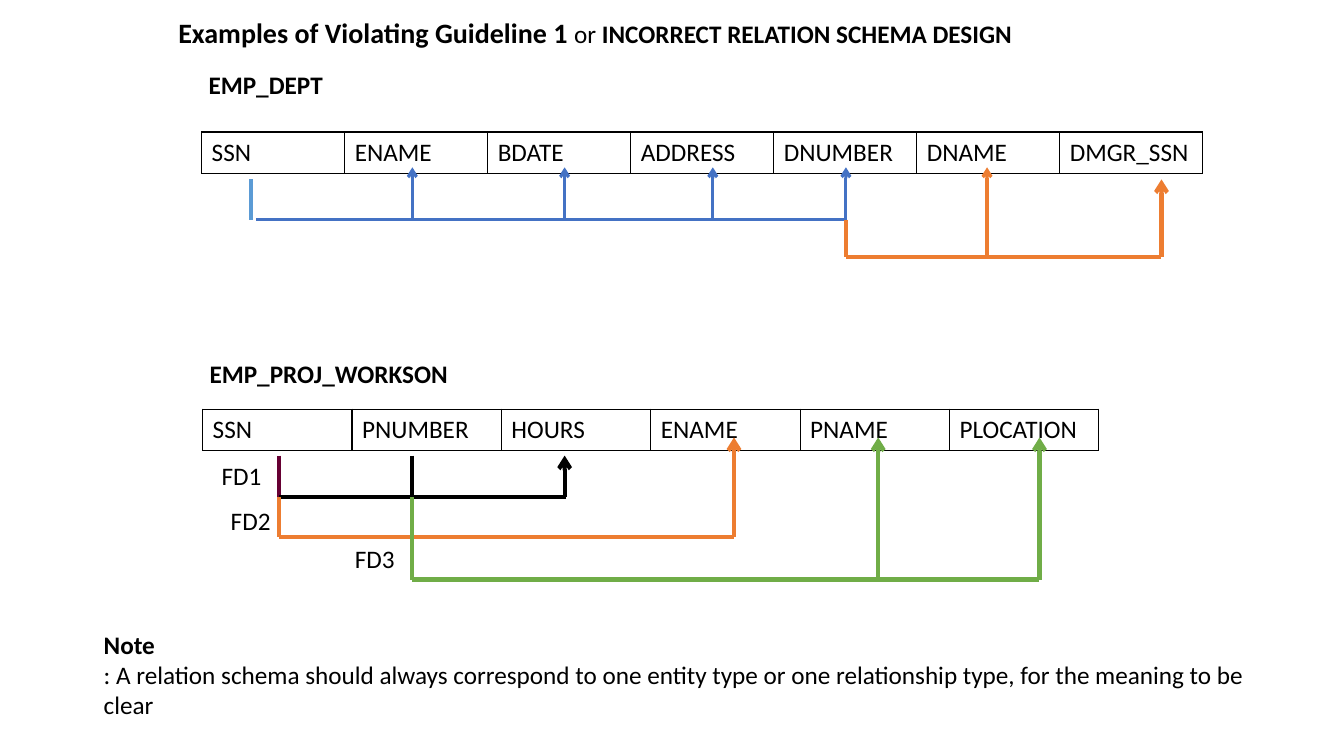
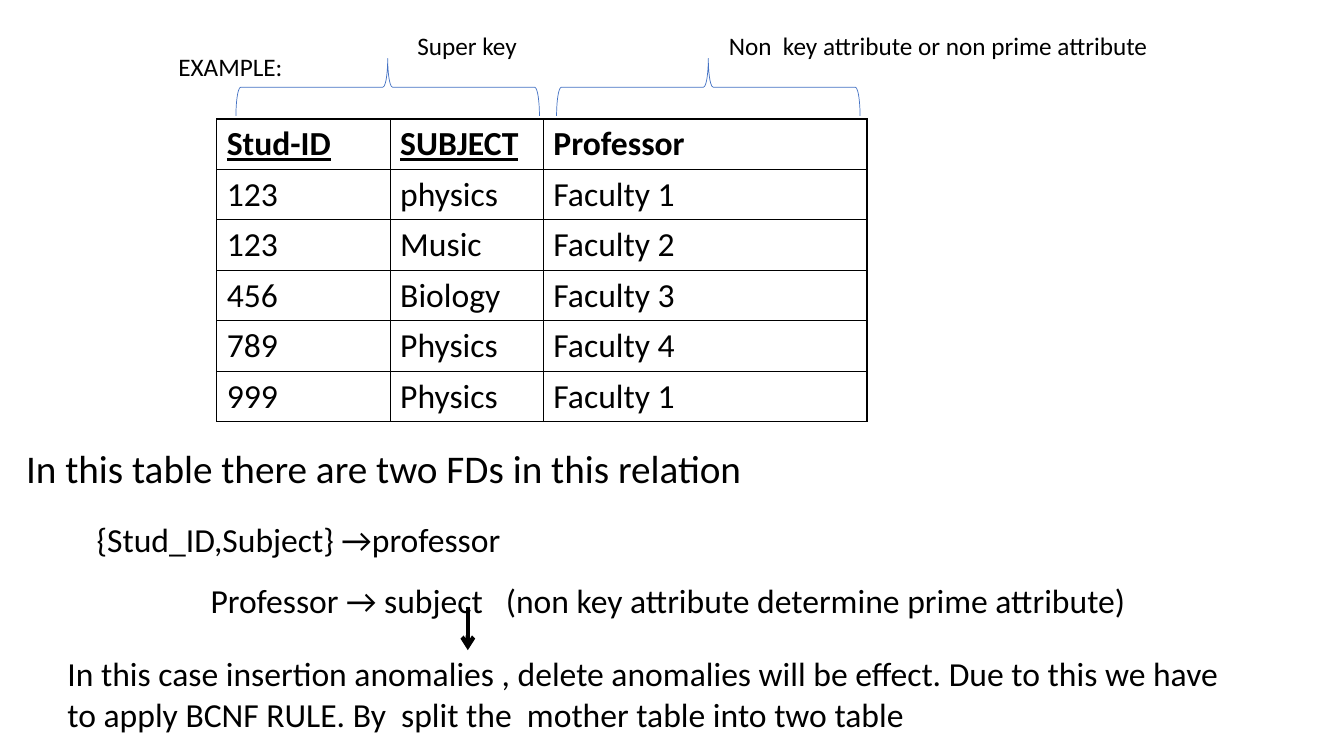
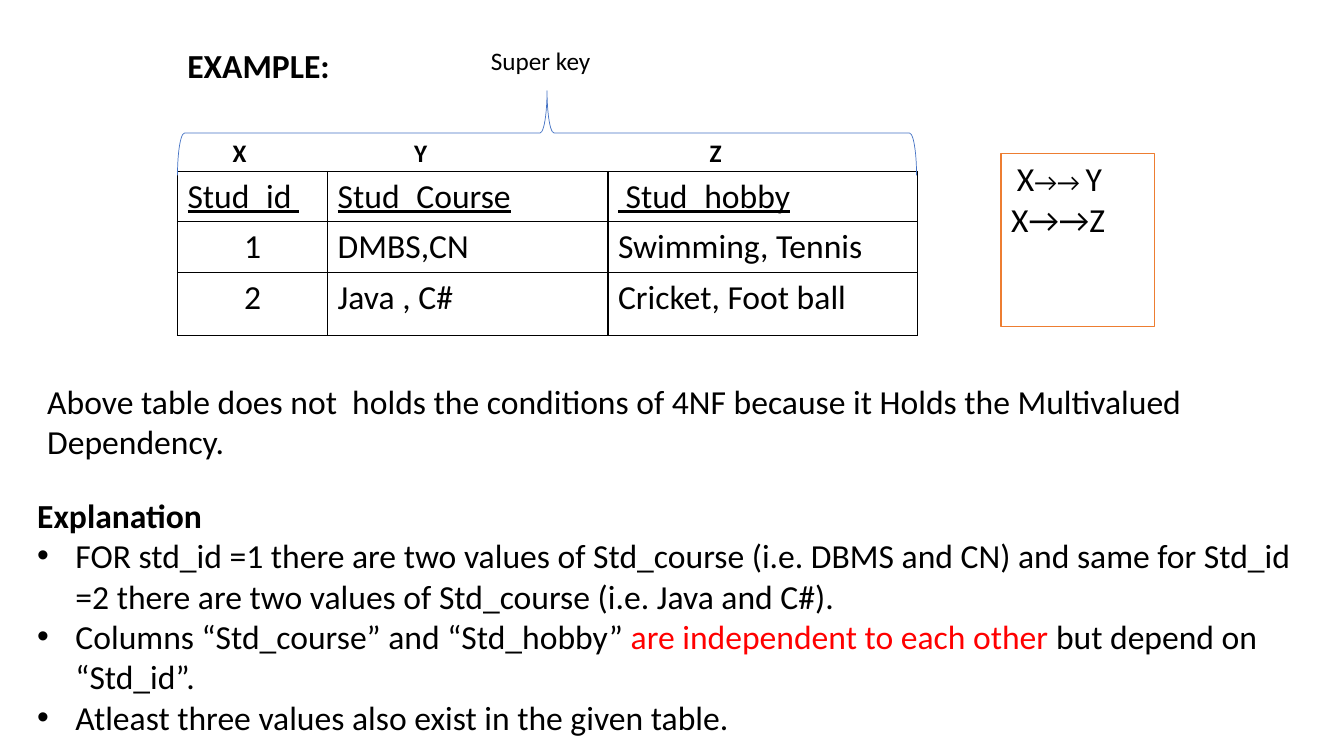
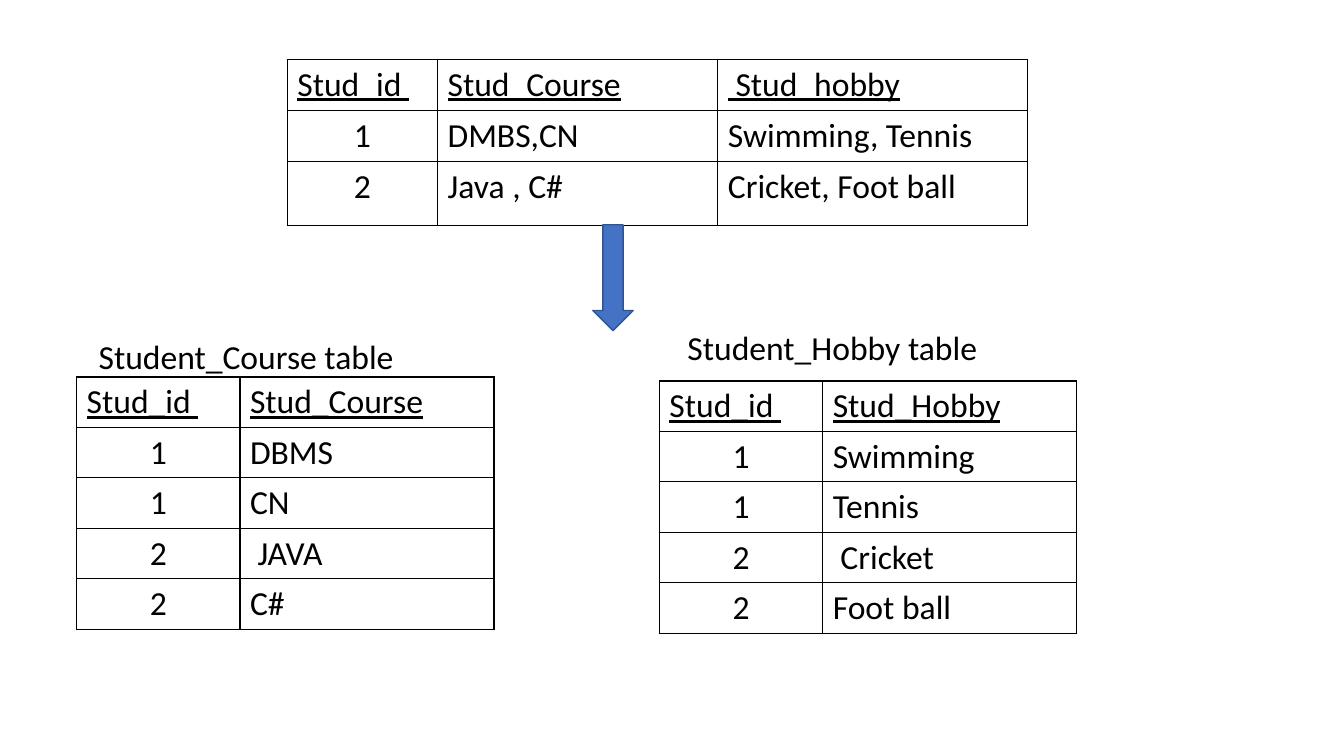
from lxml import etree
from pptx import Presentation
from pptx.dml.color import RGBColor
from pptx.enum.shapes import MSO_CONNECTOR, MSO_SHAPE
from pptx.enum.text import MSO_ANCHOR, PP_ALIGN
from pptx.oxml.ns import qn
from pptx.util import Inches, Pt

BLACK = RGBColor(0x00, 0x00, 0x00)
WHITE = RGBColor(0xFF, 0xFF, 0xFF)
RED = RGBColor(0xFF, 0x00, 0x00)
BLUE = RGBColor(0x44, 0x72, 0xC4)
DARK_BLUE = RGBColor(0x32, 0x54, 0x91)
LIGHT_BLUE = RGBColor(0x5B, 0x9B, 0xD5)
ORANGE = RGBColor(0xED, 0x7D, 0x31)
GREEN = RGBColor(0x70, 0xAD, 0x47)
MAROON = RGBColor(0x66, 0x00, 0x33)

FONT = "Calibri"
LABEL, BODY, LEAD = 18, 24, 28
ROW = 0.5
HOBBY_ROWS = [
    ["Stud_id ", "Stud_Course", " Stud_hobby"],
    ["1", "DMBS,CN", "Swimming, Tennis"],
    ["2", "Java , C#", "Cricket, Foot ball"],
]


def format_run(run, size, bold=False, underline=False, color=BLACK):
    font = run.font
    font.name, font.size = FONT, Pt(size)
    font.bold, font.underline = bold, underline
    font.color.rgb = color


def write_runs(paragraph, pieces, size):
    """Fill a paragraph from plain text or from (text, style) pieces."""
    if isinstance(pieces, str):
        pieces = [(pieces, {})]
    for text, style in pieces:
        run = paragraph.add_run()
        run.text = text
        format_run(run, **{"size": size, **style})


def write_paragraphs(text_frame, paragraphs, size):
    for index, pieces in enumerate(paragraphs):
        paragraph = text_frame.paragraphs[0] if index == 0 else text_frame.add_paragraph()
        write_runs(paragraph, pieces, size)


def add_text(slide, left, top, width, height, paragraphs, size=LABEL):
    box = slide.shapes.add_textbox(Inches(left), Inches(top), Inches(width), Inches(height))
    box.text_frame.word_wrap = True
    write_paragraphs(box.text_frame, paragraphs, size)
    return box.text_frame


def add_bullet(paragraph):
    properties = paragraph._p.get_or_add_pPr()
    properties.set("marL", str(Inches(0.38)))
    properties.set("indent", str(-Inches(0.38)))
    etree.SubElement(properties, qn("a:buFont")).set("typeface", "Arial")
    etree.SubElement(properties, qn("a:buChar")).set("char", "•")


def add_tab_stops(paragraph, positions):
    tabs = etree.SubElement(paragraph._p.get_or_add_pPr(), qn("a:tabLst"))
    for position in positions:
        tab = etree.SubElement(tabs, qn("a:tab"))
        tab.set("pos", str(Inches(position)))
        tab.set("algn", "l")


def add_line(slide, x1, y1, x2, y2, color, width=3, arrow=False):
    line = slide.shapes.add_connector(
        MSO_CONNECTOR.STRAIGHT, Inches(x1), Inches(y1), Inches(x2), Inches(y2))
    line.line.color.rgb = color
    line.line.width = Pt(width)
    if arrow:
        etree.SubElement(line.line._get_or_add_ln(), qn("a:tailEnd")).set("type", "arrow")
    etree.SubElement(line._element.spPr, qn("a:effectLst"))


def add_outlined_shape(slide, kind, left, top, width, height, fill, outline, line_width=1):
    shape = slide.shapes.add_shape(
        kind, Inches(left), Inches(top), Inches(width), Inches(height))
    shape.shadow.inherit = False
    if fill is None:
        shape.fill.background()
    else:
        shape.fill.solid()
        shape.fill.fore_color.rgb = fill
    shape.line.color.rgb = outline
    shape.line.width = Pt(line_width)
    return shape


def add_top_brace(slide, left, top, width, height):
    """Draw a brace that spans the given box and points up."""
    brace = add_outlined_shape(
        slide, MSO_SHAPE.LEFT_BRACE, left + (width - height) / 2,
        top + (height - width) / 2, height, width, None, BLUE, 0.5)
    brace.rotation = 90


def add_cell_borders(cell):
    properties = cell._tc.get_or_add_tcPr()
    for side in ("a:lnL", "a:lnR", "a:lnT", "a:lnB"):
        border = etree.SubElement(properties, qn(side))
        border.set("w", str(Pt(1)))
        fill = etree.SubElement(border, qn("a:solidFill"))
        etree.SubElement(fill, qn("a:srgbClr")).set("val", str(BLACK))


def add_grid(slide, left, top, widths, heights, rows, size=BODY,
             underlined=0, bold_header=False, center_keys=False):
    """Add a ruled table; the first `underlined` header cells are underlined."""
    frame = slide.shapes.add_table(
        len(rows), len(widths), Inches(left), Inches(top),
        Inches(sum(widths)), Inches(sum(heights)))
    table = frame.table
    table.first_row = table.horz_banding = False
    for column, width in zip(table.columns, widths):
        column.width = Inches(width)
    for row, height in zip(table.rows, heights):
        row.height = Inches(height)
    for row_index, row in enumerate(rows):
        header = row_index == 0
        for column_index, text in enumerate(row):
            cell = table.cell(row_index, column_index)
            add_cell_borders(cell)
            cell.fill.background()
            paragraph = cell.text_frame.paragraphs[0]
            style = {"bold": header and bold_header,
                     "underline": header and column_index < underlined}
            write_runs(paragraph, [(text, style)], size)
            if center_keys and column_index == 0 and not header:
                paragraph.alignment = PP_ALIGN.CENTER


def add_relation(slide, left, top, width, name, name_gap, attributes):
    """Add a one-row relation schema with its name above it."""
    add_text(slide, left - 0.03, top - name_gap, 2.9, 0.4, [[(name, {"bold": True})]])
    count = len(attributes)
    add_grid(slide, left, top, [width / count] * count, [0.41], [attributes], LABEL)


def add_dependency(slide, left, top, color, bar, stems, arrows, width=3):
    """Draw a bar (start, end, y), stems (x, y) and arrows (x, tip, width) from a corner."""
    start, end, level = bar
    y = top + level
    add_line(slide, left + start, y, left + end, y, color, width)
    for x, stem_top in stems:
        add_line(slide, left + x, top + stem_top, left + x, y, color, width)
    for x, tip, arrow_width in arrows:
        add_line(slide, left + x, y, left + x, top + tip, color, arrow_width, arrow=True)


def add_department_relation(slide, left, top):
    add_relation(slide, left, top, 9.93, "EMP_DEPT", 0.67,
                 ["SSN", "ENAME", "BDATE", "ADDRESS", "DNUMBER", "DNAME", "DMGR_SSN"])
    add_line(slide, left + 0.49, top + 0.47, left + 0.49, top + 0.87, LIGHT_BLUE, 2.25)
    add_dependency(slide, left, top, BLUE, (0.54, 6.39, 0.87), [],
                   [(x, 0.35, 2.25) for x in (2.09, 3.6, 5.07, 6.39)], 2.25)
    add_dependency(slide, left, top, ORANGE, (6.39, 9.52, 1.24), [(6.39, 0.87)],
                   [(7.79, 0.35, 2.25), (9.52, 0.47, 3)])


def add_project_relation(slide, left, top):
    ssn, number = 0.76, 2.08
    add_relation(slide, left, top, 8.89, "EMP_PROJ_WORKSON", 0.55,
                 ["SSN", "PNUMBER", "HOURS", "ENAME", "PNAME", "PLOCATION"])
    add_line(slide, left + ssn, top + 0.46, left + ssn, top + 0.87, MAROON)
    add_dependency(slide, left, top, BLACK, (ssn, 3.6, 0.87), [(number, 0.46)],
                   [(3.59, 0.46, 3)])
    add_dependency(slide, left, top, ORANGE, (ssn, 5.27, 1.27), [(ssn, 0.87)],
                   [(5.27, 0.28, 3)])
    add_dependency(slide, left, top, GREEN, (number, 8.3, 1.69), [(number, 0.87)],
                   [(6.7, 0.28, 3), (8.3, 0.28, 3)])
    for name, x, y in (("FD1", 0.09, 0.46), ("FD2", 0.18, 0.9), ("FD3", 1.41, 1.28)):
        add_text(slide, left + x, top + y, 0.65, 0.4, [name])


def add_hobby_table(slide, left, top):
    add_grid(slide, left, top, [1.49, 2.78, 3.07], [ROW, ROW, 0.63], HOBBY_ROWS,
             underlined=3, center_keys=True)


def add_split_table(slide, left, top, value_name, values):
    rows = [["Stud_id ", value_name], *zip("1122", values)]
    add_grid(slide, left, top, [1.62, 2.52], [ROW] * len(rows), rows,
             underlined=2, center_keys=True)


def build_guideline_slide(slide):
    add_text(slide, 1.67, 0.1, 10.76, 0.44, [[
        ("Examples of Violating Guideline 1 ", {"size": 20, "bold": True}),
        ("or ", {}),
        ("INCORRECT RELATION SCHEMA DESIGN", {"bold": True}),
    ]])
    add_department_relation(slide, 2, 1.31)
    add_project_relation(slide, 2.01, 4.06)
    add_text(slide, 0.93, 6.19, 11.51, 1.01, [
        [("Note", {"bold": True})],
        ": A relation schema should always correspond to one entity type or "
        "one relationship type, for the meaning to be clear",
    ])


def build_professor_slide(slide):
    add_text(slide, 1.67, 0.46, 2.49, 0.4, ["EXAMPLE:"])
    rows = [
        ["Stud-ID", "SUBJECT", "Professor"],
        ["123", "physics", "Faculty 1"],
        ["123", "Music", "Faculty 2"],
        ["456", "Biology", "Faculty 3"],
        ["789", "Physics", "Faculty 4"],
        ["999", "Physics", "Faculty 1"],
    ]
    add_grid(slide, 2.15, 1.18, [1.72, 1.52, 3.21], [ROW] * len(rows), rows,
             underlined=2, bold_header=True)
    for left in (2.34, 5.52):
        add_top_brace(slide, left, 0.58, 3.01, 0.57)
    add_text(slide, 4.04, 0.25, 1.79, 0.4, ["Super key"])
    add_text(slide, 7.13, 0.25, 5.81, 0.4, ["Non  key attribute or non prime attribute"])
    add_text(slide, 0.16, 4.36, 11.03, 0.57,
             ["In this table there are two FDs in this relation"], LEAD)
    dependencies = add_text(slide, 0.86, 4.9, 12.13, 1.31, [
        "{Stud_ID,Subject} →professor",
        "\tProfessor → subject\t(non key attribute determine prime attribute)",
    ], BODY)
    add_tab_stops(dependencies.paragraphs[1], [1.13, 4.06])
    for paragraph in dependencies.paragraphs:
        paragraph.line_spacing = 1.5
    add_line(slide, 4.64, 6.02, 4.64, 6.45, BLACK, arrow=True)
    add_text(slide, 0.57, 6.43, 11.79, 0.91, [
        "In this case insertion anomalies , delete anomalies will be effect. Due to this "
        "we have to apply BCNF RULE. By  split the  mother table into two table",
    ], BODY)


def build_multivalued_slide(slide):
    add_text(slide, 1.76, 0.4, 2.9, 0.5, [[("EXAMPLE:", {"bold": True})]], BODY)
    add_hobby_table(slide, 1.76, 1.7)
    add_top_brace(slide, 1.76, 0.9, 7.33, 0.84)
    add_text(slide, 4.77, 0.4, 2.17, 0.4, ["Super key"])
    for name, left in (("X", 2.21), ("Y", 4.01), ("Z", 6.94)):
        add_text(slide, left, 1.31, 0.85, 0.4, [[(name, {"bold": True})]])
    box = add_outlined_shape(slide, MSO_SHAPE.RECTANGLE, 9.93, 1.52, 1.52, 1.72, WHITE, ORANGE)
    box.text_frame.vertical_anchor = MSO_ANCHOR.TOP
    small = {"size": LABEL}
    write_paragraphs(box.text_frame, [
        [(" ", small), ("X", {}), ("→→ ", small), ("Y", {})],
        "X→→Z",
    ], BODY)
    for paragraph in box.text_frame.paragraphs:
        paragraph.alignment = PP_ALIGN.LEFT
    add_text(slide, 0.37, 3.73, 12.52, 0.91, [
        "Above table does not  holds the conditions of 4NF because it Holds the "
        "Multivalued Dependency.",
    ], BODY)
    explanation = add_text(slide, 0.27, 4.86, 12.89, 2.52, [
        [("Explanation", {"bold": True})],
        "FOR std_id =1 there are two values of Std_course (i.e. DBMS and CN) and same for "
        "Std_id =2 there are two values of Std_course (i.e. Java and C#).",
        [("Columns “Std_course” and “Std_hobby” ", {}),
         ("are independent to each other ", {"color": RED}),
         ("but depend on “Std_id”.", {})],
        "Atleast three values also exist in the given table.",
    ], BODY)
    for paragraph in explanation.paragraphs[1:]:
        add_bullet(paragraph)


def build_split_slide(slide):
    add_hobby_table(slide, 2.85, 0.59)
    add_outlined_shape(slide, MSO_SHAPE.DOWN_ARROW, 5.88, 2.23, 0.4, 1.05, BLUE, DARK_BLUE)
    add_text(slide, 0.88, 3.28, 3.7, 0.5, ["Student_Course table"], BODY)
    add_split_table(slide, 0.76, 3.74, "Stud_Course", ["DBMS", "CN", " JAVA", "C#"])
    add_text(slide, 6.72, 3.19, 3.7, 0.5, ["Student_Hobby table"], BODY)
    add_split_table(slide, 6.54, 3.78, "Stud_Hobby",
                    ["Swimming", "Tennis", " Cricket", "Foot ball"])


def main():
    presentation = Presentation()
    presentation.slide_width = Inches(13.33)
    presentation.slide_height = Inches(7.5)
    for build in (build_guideline_slide, build_professor_slide,
                  build_multivalued_slide, build_split_slide):
        build(presentation.slides.add_slide(presentation.slide_layouts[6]))
    presentation.save("out.pptx")


if __name__ == "__main__":
    main()
